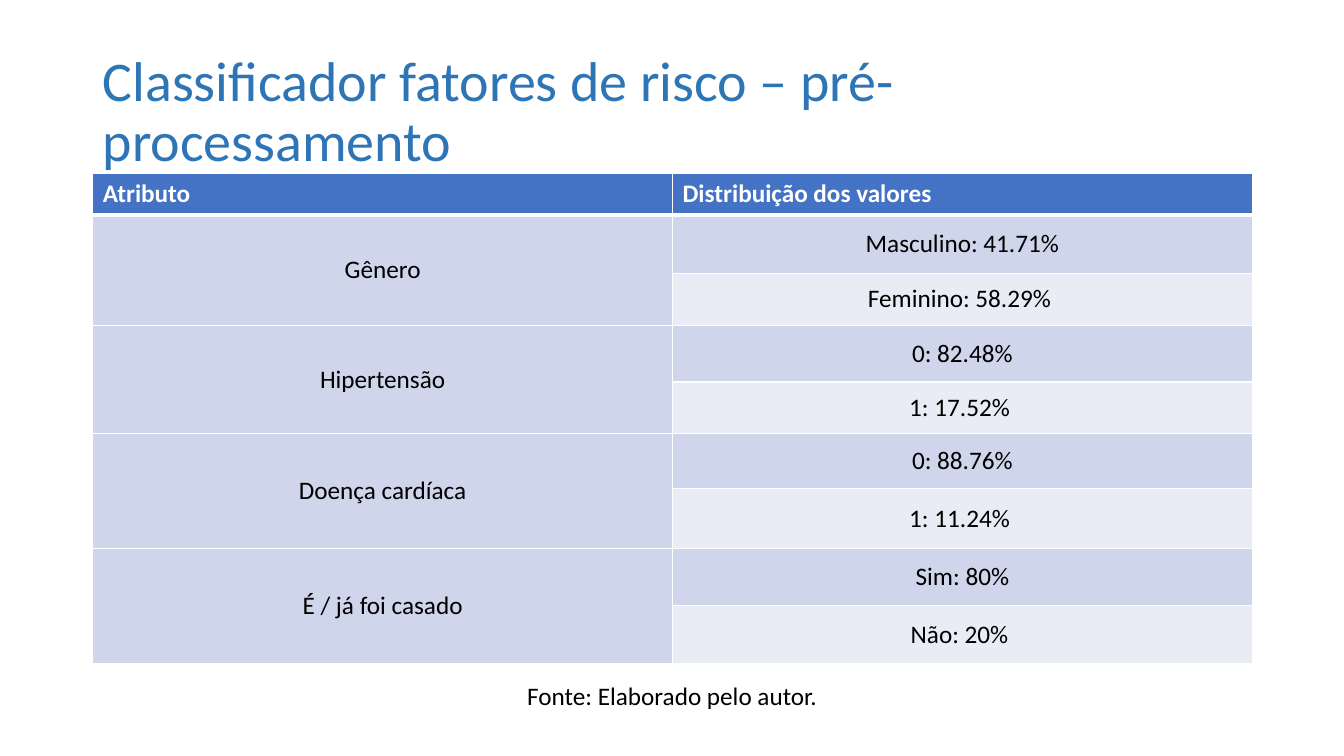
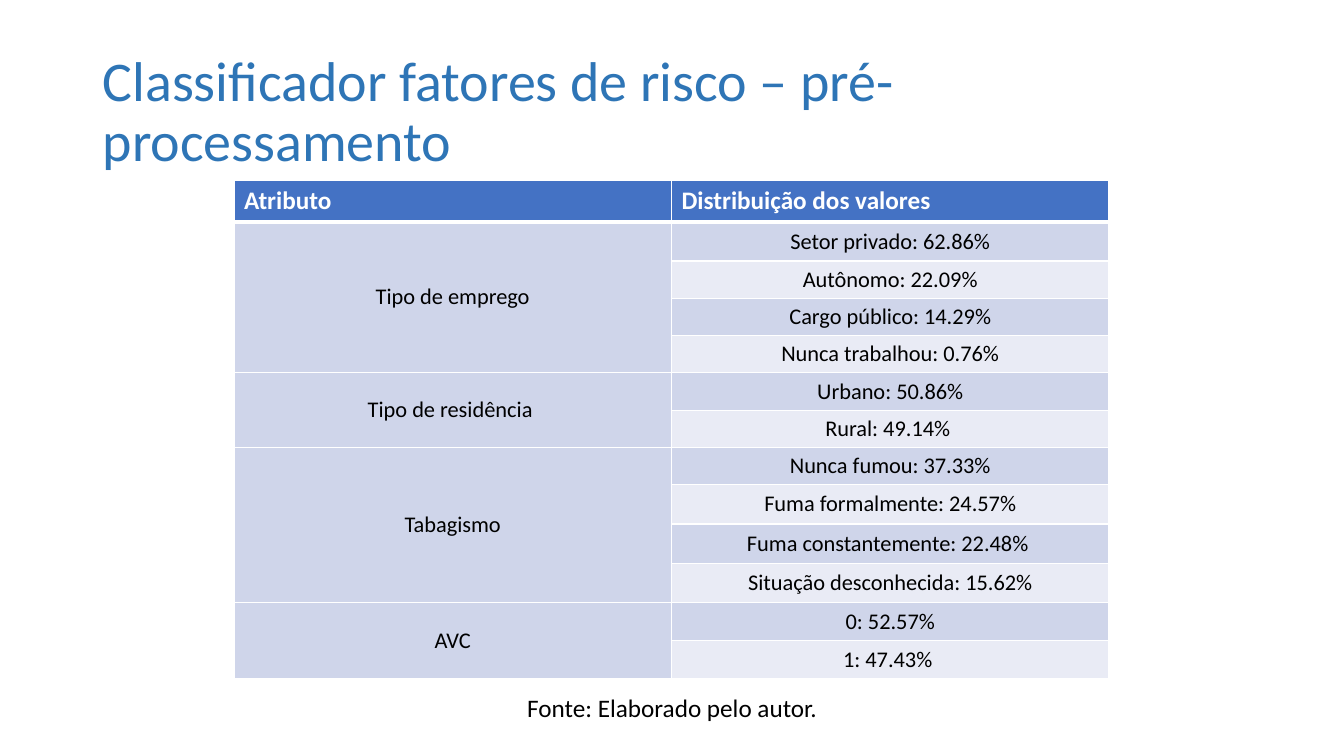
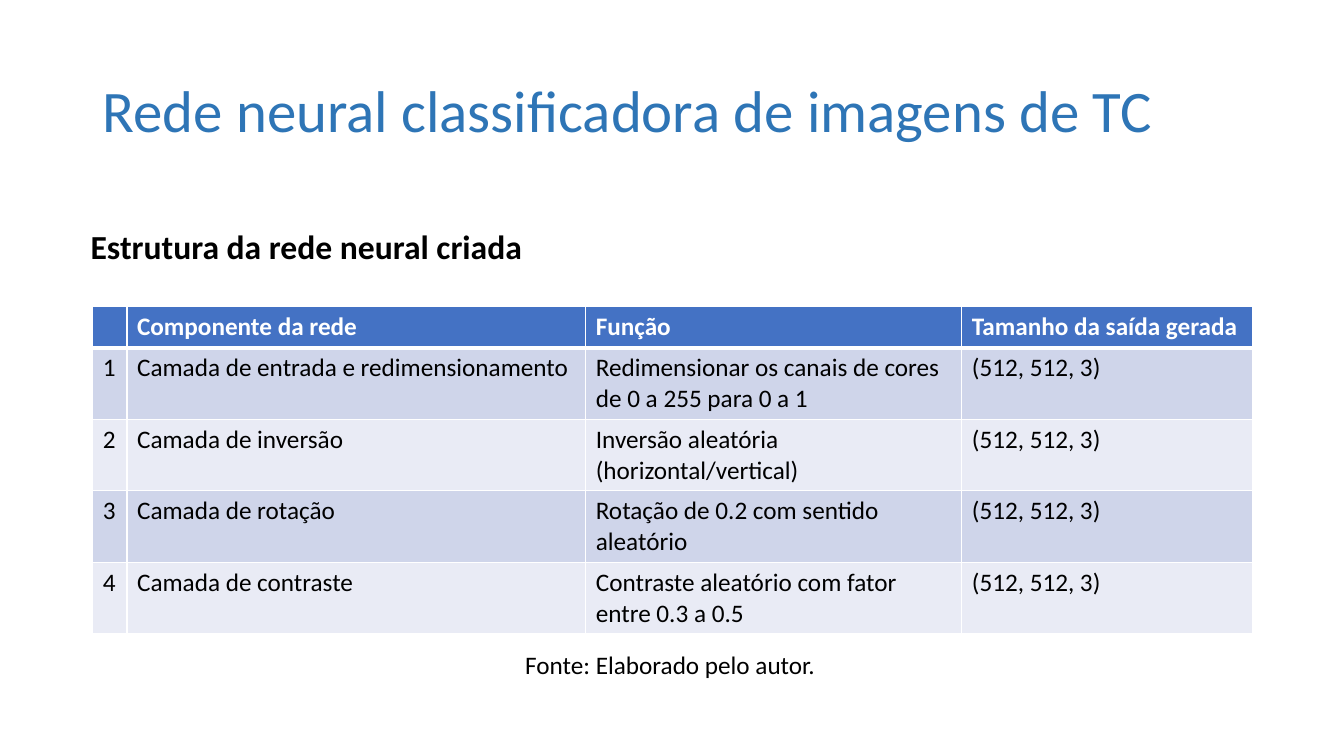
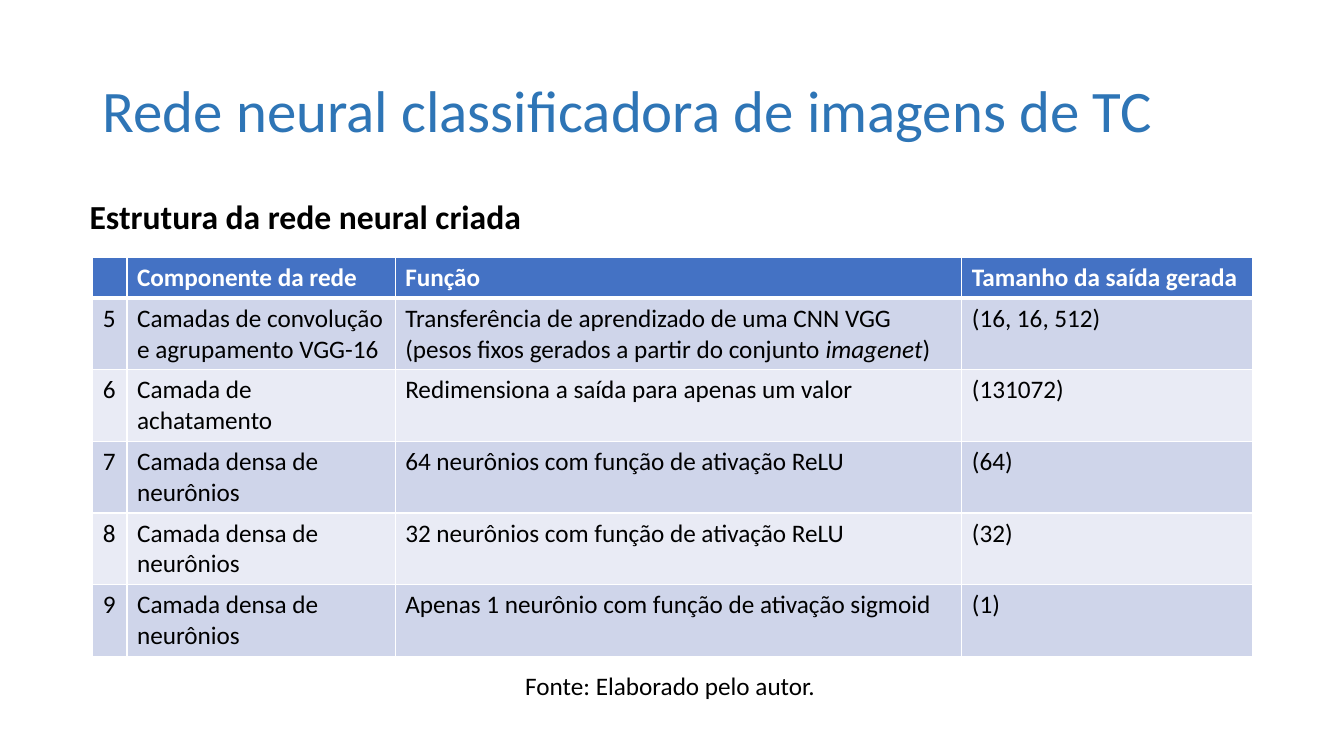
"""Build four slides on stroke classifiers: attribute distributions and network layers."""
from dataclasses import dataclass

from lxml import etree
from pptx import Presentation
from pptx import util as u
from pptx.dml.color import RGBColor
from pptx.enum import text
from pptx.oxml import ns


@dataclass(frozen=True)
class Theme:
    font: str = "Calibri"
    title: str = "2E75B6"
    ink: str = "000000"
    white: str = "FFFFFF"
    header: str = "4472C4"
    bands: tuple[str, str] = ("E9EBF5", "CFD5EA")
    title_size: int = 42
    long_title_size: int = 40
    subtitle_size: int = 24
    body_size: int = 18
    compact_size: int = 16
    rule: float = 1
    header_rule: float = 3


@dataclass(frozen=True)
class Box:
    left: float
    top: float
    width: float
    height: float


@dataclass(frozen=True)
class Grid:
    left: float
    top: float
    cols: tuple[float, ...]
    heights: tuple[float, ...]
    rows: list[tuple[str, ...]]
    size: int
    centred: bool = False


@dataclass(frozen=True)
class Page:
    title: str
    title_size: int
    grid: Grid
    source: Box
    subtitle: Box | None = None


THEME = Theme()
TITLE_BOX = Box(0.92, 0.4, 11.5, 1.45)
SOURCE = "Fonte: Elaborado pelo autor."
SUBTITLE = "Estrutura da rede neural criada"
RISK_TITLE = "Classificador fatores de risco – pré-processamento"
NETWORK_TITLE = "Rede neural classificadora de imagens de TC"
ATTRIBUTE_HEADER = ("Atributo", "Distribuição dos valores")
LAYER_HEADER = ("", "Componente da rede", "Função", "Tamanho da saída gerada")
HEADER_HEIGHT = 0.41
LAYER_HEIGHT = 0.71

PERSONAL = {
    "Gênero": ("Masculino: 41.71%", "Feminino: 58.29% "),
    "Hipertensão": ("0: 82.48%", "1: 17.52% "),
    "Doença cardíaca": ("0: 88.76%", "1: 11.24% "),
    "É / já foi casado": ("Sim: 80%", "Não: 20% "),
}
LIFESTYLE = {
    "Tipo de emprego": ("Setor privado: 62.86%", "Autônomo: 22.09%",
                        "Cargo público: 14.29%", "Nunca trabalhou: 0.76%"),
    "Tipo de residência ": ("Urbano: 50.86%", "Rural: 49.14% "),
    "Tabagismo": ("Nunca fumou: 37.33%", "Fuma formalmente: 24.57%",
                  "Fuma constantemente: 22.48% ", "Situação desconhecida: 15.62%"),
    "AVC": ("0: 52.57%", "1: 47.43% "),
}
INPUT_LAYERS = [
    ("1", "Camada de entrada e redimensionamento",
     "Redimensionar os canais de cores de 0 a 255 para 0 a 1", "(512, 512, 3)"),
    ("2", "Camada de inversão", "Inversão aleatória (horizontal/vertical)", "(512, 512, 3)"),
    ("3", "Camada de rotação", "Rotação de 0.2 com sentido aleatório", "(512, 512, 3)"),
    ("4", "Camada de contraste", "Contraste aleatório com fator entre 0.3 a 0.5",
     "(512, 512, 3)"),
]
DEEP_LAYERS = [
    ("5", "Camadas de convolução e agrupamento VGG-16",
     "Transferência de aprendizado de uma CNN VGG "
     "(pesos fixos gerados a partir do conjunto *imagenet*)", "(16, 16, 512)"),
    ("6", "Camada de achatamento", "Redimensiona a saída para apenas um valor", "(131072)"),
    ("7", "Camada densa de neurônios", "64 neurônios com função de ativação ReLU", "(64)"),
    ("8", "Camada densa de neurônios", "32 neurônios com função de ativação ReLU", "(32)"),
    ("9", "Camada densa de neurônios",
     "Apenas 1 neurônio com função de ativação sigmoid", "(1)"),
]


def attribute_grid(left: float, top: float, col: float, heights: tuple[float, ...],
                   groups: dict[str, tuple[str, ...]], size: int) -> Grid:
    """Describe a two-column table whose first column spans each group of values."""
    rows = [("" if i else name, value)
            for name, values in groups.items() for i, value in enumerate(values)]
    return Grid(left, top, (col, col), (HEADER_HEIGHT, *heights),
                [ATTRIBUTE_HEADER, *rows], size, centred=True)


def layer_grid(top: float, component: float, function: float,
               layers: list[tuple[str, ...]]) -> Grid:
    """Describe a table of numbered network layers."""
    heights = (HEADER_HEIGHT, *[LAYER_HEIGHT] * len(layers))
    return Grid(0.92, top, (0.34, component, function, 2.88), heights,
                [LAYER_HEADER, *layers], THEME.body_size)


def write(tf, content: str, size: int, color: str, bold: bool = False) -> None:
    """Fill a text frame with one paragraph, setting text between asterisks in italics."""
    p = tf.paragraphs[0]
    first, *rest = content.split("*")
    p.text = first
    for piece in rest:
        p.add_run().text = piece
    for i, r in enumerate(p.runs):
        r.font.name = THEME.font
        r.font.size = u.Pt(size)
        r.font.bold = bold
        r.font.italic = i % 2 == 1
        r.font.color.rgb = RGBColor.from_string(color)


def add_text(s, box: Box, content: str, size: int, color: str, bold: bool = False,
             wrap: bool = False):
    """Add a text box and return its text frame."""
    sp = s.shapes.add_textbox(*map(u.Inches, (box.left, box.top, box.width, box.height)))
    tf = sp.text_frame
    tf.word_wrap = wrap
    write(tf, content, size, color, bold)
    return tf


def set_borders(cell, top: float, bottom: float) -> None:
    """Draw white rules on the four sides of a cell."""
    sides = {"L": THEME.rule, "R": THEME.rule, "T": top, "B": bottom}
    tc_pr = cell._tc.get_or_add_tcPr()
    for side, width in sides.items():
        line = etree.SubElement(tc_pr, ns.qn(f"a:ln{side}"), w=str(u.Pt(width)))
        fill = etree.SubElement(line, ns.qn("a:solidFill"))
        etree.SubElement(fill, ns.qn("a:srgbClr"), val=THEME.white)


def style_cell(cell, row: int, content: str, grid: Grid) -> None:
    """Write and colour one cell according to its row."""
    header = row == 0
    set_borders(cell, THEME.header_rule if row == 1 else THEME.rule,
                THEME.header_rule if header else THEME.rule)
    cell.fill.solid()
    cell.fill.fore_color.rgb = RGBColor.from_string(
        THEME.header if header else THEME.bands[row % 2])
    write(cell.text_frame, content, THEME.body_size if header else grid.size,
          THEME.white if header else THEME.ink, header)
    if grid.centred and not header:
        cell.vertical_anchor = text.MSO_ANCHOR.MIDDLE
        cell.text_frame.paragraphs[0].alignment = text.PP_ALIGN.CENTER


def merge_groups(table, rows: list[tuple[str, ...]]) -> None:
    """Merge each named first-column cell with the unnamed cells below it."""
    starts = [i for i, row in enumerate(rows) if i and row[0]]
    for start, end in zip(starts, [*starts[1:], len(rows)]):
        if end - start > 1:
            table.cell(start, 0).merge(table.cell(end - 1, 0))


def add_grid(s, grid: Grid) -> None:
    """Add a banded table."""
    table = s.shapes.add_table(
        len(grid.rows), len(grid.cols), u.Inches(grid.left), u.Inches(grid.top),
        u.Inches(sum(grid.cols)), u.Inches(sum(grid.heights))).table
    table.horz_banding = False
    for column, width in zip(table.columns, grid.cols):
        column.width = u.Inches(width)
    for i, (height, row) in enumerate(zip(grid.heights, grid.rows)):
        table.rows[i].height = u.Inches(height)
        for j, content in enumerate(row):
            style_cell(table.cell(i, j), i, content, grid)
    merge_groups(table, grid.rows)


def add_page(prs, page: Page) -> None:
    """Add a slide with title, table, source line and optional subtitle."""
    s = prs.slides.add_slide(prs.slide_layouts[6])
    tf = add_text(s, TITLE_BOX, page.title, page.title_size, THEME.title, wrap=True)
    tf.vertical_anchor = text.MSO_ANCHOR.MIDDLE
    tf.paragraphs[0].line_spacing = 0.9
    add_grid(s, page.grid)
    if page.subtitle:
        add_text(s, page.subtitle, SUBTITLE, THEME.subtitle_size, THEME.ink, bold=True)
    add_text(s, page.source, SOURCE, THEME.body_size, THEME.ink)


PAGES = [
    Page(RISK_TITLE, THEME.long_title_size,
         attribute_grid(0.92, 1.72, 5.75, (0.58, 0.52, 0.56, 0.51, 0.55, 0.59, 0.57, 0.57),
                        PERSONAL, THEME.body_size),
         Box(5.13, 6.7, 3.11, 0.4)),
    Page(RISK_TITLE, THEME.long_title_size,
         attribute_grid(2.32, 1.79, 4.34, (0.39, *[0.37] * 6, *[0.39] * 3, 0.38, 0.38),
                        LIFESTYLE, THEME.compact_size),
         Box(5.13, 6.82, 3.11, 0.4)),
    Page(NETWORK_TITLE, THEME.title_size, layer_grid(3.04, 4.55, 3.73, INPUT_LAYERS),
         Box(5.11, 6.39, 3.11, 0.4), Box(0.8, 2.19, 4.62, 0.5)),
    Page(NETWORK_TITLE, THEME.title_size, layer_grid(2.55, 2.66, 5.62, DEEP_LAYERS),
         Box(5.11, 6.6, 3.11, 0.4), Box(0.79, 1.89, 4.62, 0.5)),
]


def main() -> None:
    """Build and save the presentation."""
    prs = Presentation()
    prs.slide_width, prs.slide_height = u.Inches(13.33), u.Inches(7.5)
    for page in PAGES:
        add_page(prs, page)
    prs.save("out.pptx")


main()
